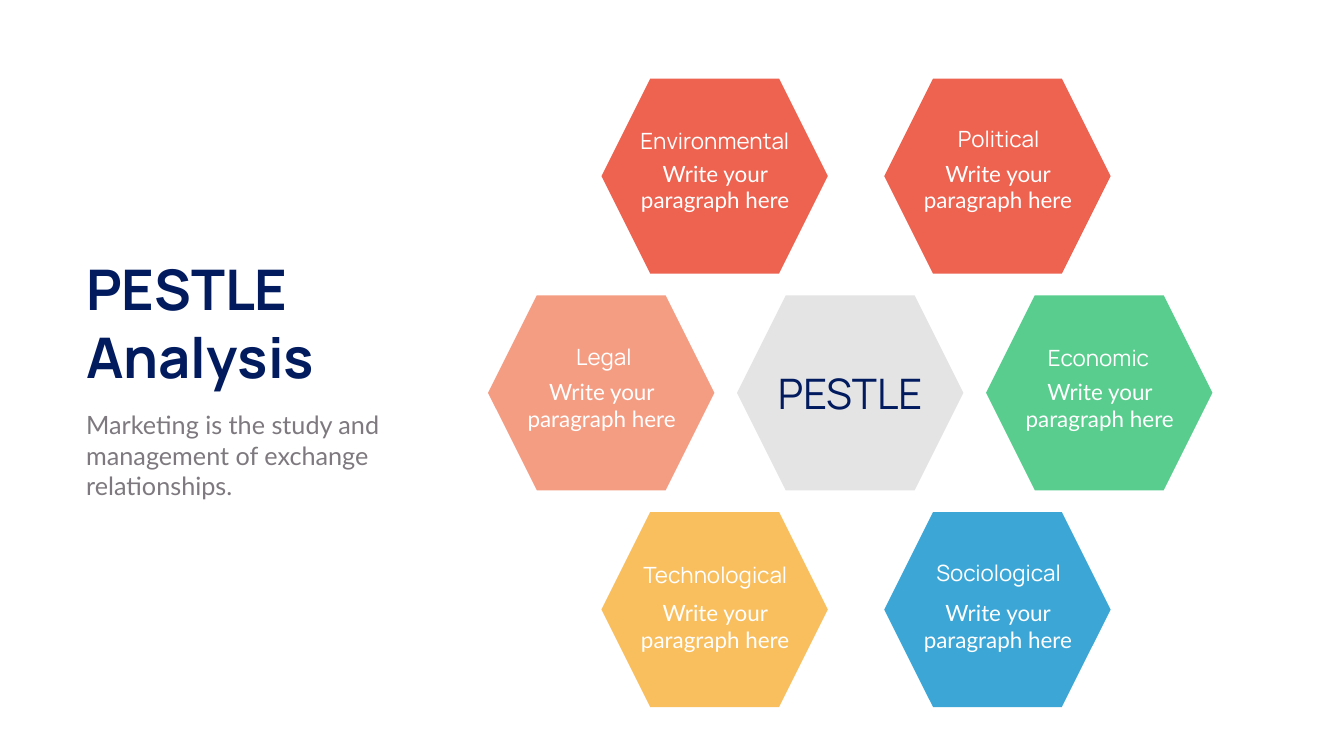
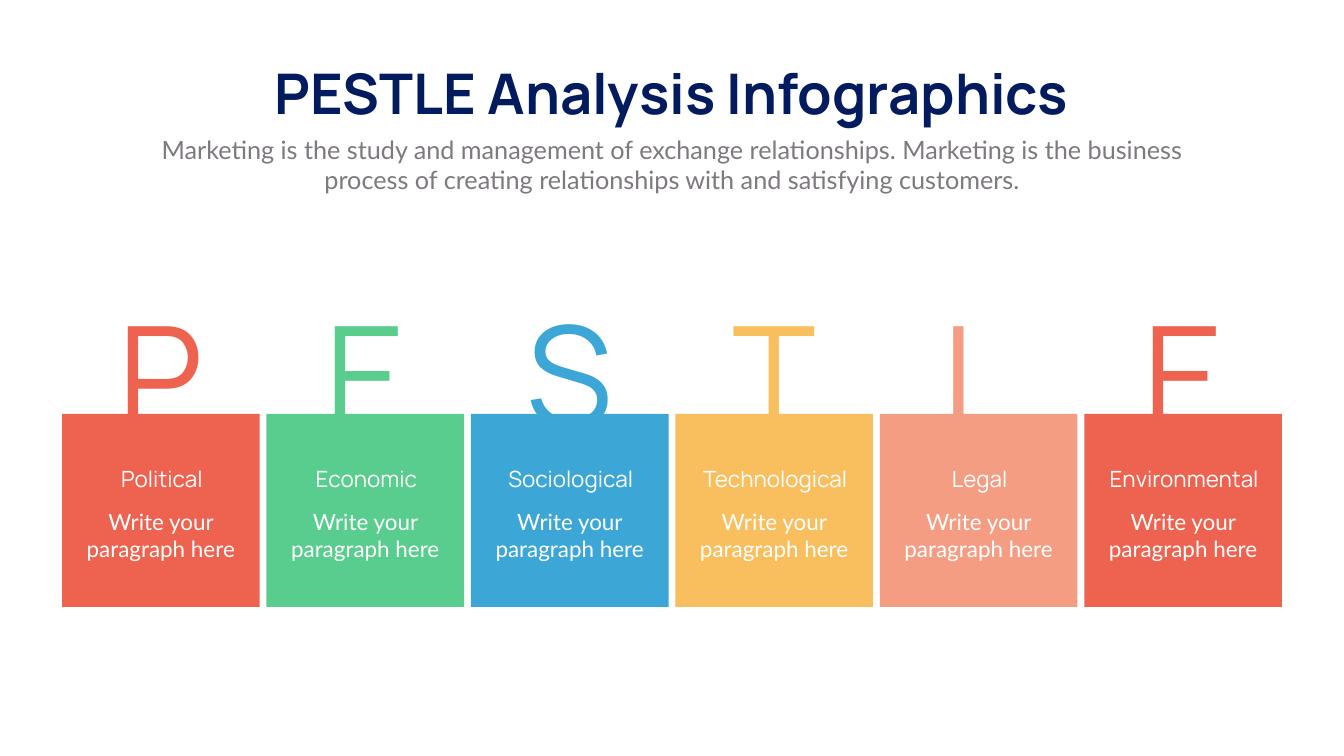
from pptx import Presentation
from pptx.dml.color import RGBColor
from pptx.enum.shapes import MSO_SHAPE as Shape
from pptx.enum.text import MSO_ANCHOR as Anchor, MSO_AUTO_SIZE as AutoSize, PP_ALIGN as Align
from pptx.util import Pt

NAVY, GRAY, SILVER, WHITE = "011B5E", "7D797E", "E5E4E5", "FFFFFF"
RED, GREEN, BLUE = "EE6250", "58CD8E", "3CA7D7"
YELLOW, SALMON = "F9BF5F", "F59D83"
HEADING, BODY = "Manrope", "Lato"

TITLE = {"size": 80, "font": HEADING, "color": NAVY, "bold": True}
INTRO = {"size": 36, "font": BODY, "color": GRAY}
LABEL = {"size": 32, "font": HEADING, "color": WHITE, "align": Align.CENTER}
DETAIL = {"size": 32, "font": BODY, "color": WHITE, "align": Align.CENTER}
DETAIL_TEXT = "Write your paragraph here"
LABEL_HEIGHT, DETAIL_HEIGHT = 46, 85


def add_text(slide, text, left, top, width, height, *, size, font, color,
             bold=None, align=Align.LEFT, wrap=True):
    box = slide.shapes.add_textbox(Pt(left), Pt(top), Pt(width), Pt(height))
    frame = box.text_frame
    frame.word_wrap = wrap
    frame.auto_size = AutoSize.SHAPE_TO_FIT_TEXT
    paragraph = frame.paragraphs[0]
    paragraph.alignment = align
    run = paragraph.add_run()
    run.text = text
    run.font.size = Pt(size)
    run.font.name = font
    run.font.bold = bold
    run.font.color.rgb = RGBColor.from_string(color)


def add_block(slide, kind, left, top, width, height, color):
    shape = slide.shapes.add_shape(kind, Pt(left), Pt(top), Pt(width), Pt(height))
    shape.shadow.inherit = False
    shape.fill.solid()
    shape.fill.fore_color.rgb = RGBColor.from_string(color)
    shape.line.fill.background()
    return shape


presentation = Presentation()
presentation.slide_width = Pt(1919.5)
presentation.slide_height = Pt(1080)
blank = presentation.slide_layouts[6]

slide = presentation.slides.add_slide(blank)
add_text(slide, "PESTLE Analysis", 116, 360.7, 440.6, 201, **TITLE)
add_text(slide, "Marketing is the study and management of exchange relationships.",
         116, 581.8, 440.6, 138, **INTRO)

hexagon_width, hexagon_height = 323.3, 278.6
rows = [112.3 + 309.6 * index for index in range(3)]
detail_tops = [224.6, 537.1, 851.8]

center = add_block(slide, Shape.HEXAGON, 1052.6, rows[1], hexagon_width, hexagon_height, SILVER)
center.text_frame.vertical_anchor = Anchor.MIDDLE
paragraph = center.text_frame.paragraphs[0]
paragraph.alignment = Align.CENTER
run = paragraph.add_run()
run.text = "PESTLE"
run.font.size = Pt(60)
run.font.name = HEADING
run.font.color.rgb = RGBColor.from_string(NAVY)

hexagons = [
    ("Political", RED, 1262.9, 0, 1268.6, 175.7),
    ("Economic", GREEN, 1408.3, 1, 1411.2, 487.4),
    ("Legal", SALMON, 697, 1, 704.9, 486.7),
    ("Environmental", RED, 859, 0, 863.3, 178.6),
    ("Sociological", BLUE, 1262.9, 2, 1268.6, 795.6),
    ("Technological", YELLOW, 859, 2, 864, 798.5),
]
for name, color, left, row, label_left, label_top in hexagons:
    add_block(slide, Shape.HEXAGON, left, rows[row], hexagon_width, hexagon_height, color)
    add_text(slide, name, label_left, label_top, 315.4, LABEL_HEIGHT, **LABEL)
    add_text(slide, DETAIL_TEXT, left + 24.5, detail_tops[row], 275.8, DETAIL_HEIGHT, **DETAIL)

slide = presentation.slides.add_slide(blank)
add_text(slide, "PESTLE Analysis Infographics", 357.1, 80.6, 1205.3, 104.4,
         align=Align.CENTER, wrap=False, **TITLE)
add_text(slide, "Marketing is the study and management of exchange relationships. "
         "Marketing is the business process of creating relationships with and "
         "satisfying customers.",
         210.2, 187.9, 1499, 94.3, align=Align.CENTER, **INTRO)

card_width, card_pitch, detail_width = 282.2, 292, 231.1
cards = [
    ("P", "Political", RED, 141.8, 193),
    ("E", "Economic", GREEN, 200.2, 193),
    ("S", "Sociological", BLUE, 141.8, 213.1),
    ("T", "Technological", YELLOW, 141.8, 252),
    ("L", "Legal", SALMON, 141.8, 193),
    ("E", "Environmental", RED, 141.8, 253.4),
]
for index, (letter, name, color, letter_width, label_width) in enumerate(cards):
    left = 88.6 + card_pitch * index
    middle = left + card_width / 2
    add_block(slide, Shape.RECTANGLE, left, 591.1, card_width, 275.8, color)
    add_text(slide, letter, middle - letter_width / 2, 407.5, letter_width, 249.8,
             size=200, font=HEADING, color=color, align=Align.CENTER)
    add_text(slide, name, middle - label_width / 2 + 1.5, 661, label_width, LABEL_HEIGHT, **LABEL)
    add_text(slide, DETAIL_TEXT, middle - detail_width / 2, 722.2, detail_width,
             DETAIL_HEIGHT, **DETAIL)

presentation.save("out.pptx")
